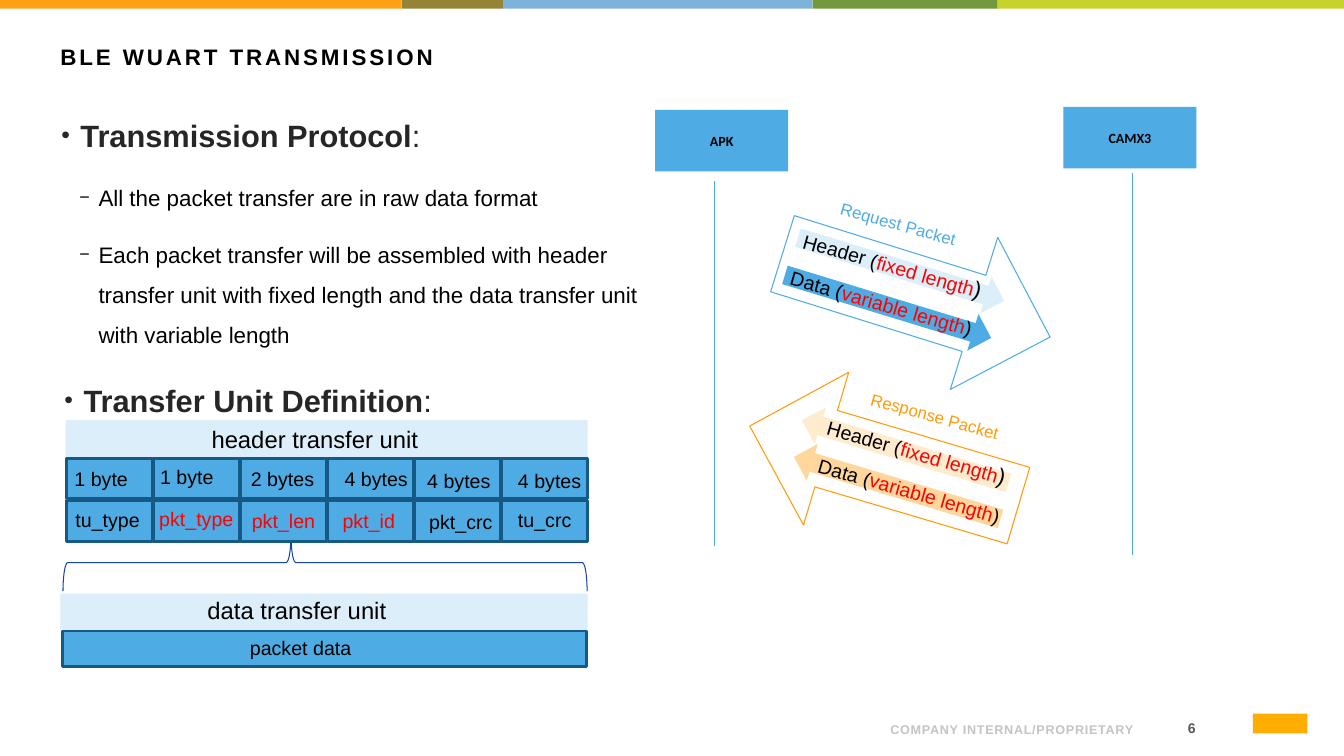
"""Build the BLE WUART transmission slide."""
from lxml import etree
from pptx import Presentation
from pptx.enum.shapes import MSO_CONNECTOR, MSO_SHAPE
from pptx.enum.text import MSO_ANCHOR, PP_ALIGN
from pptx.dml.color import RGBColor
from pptx.oxml.ns import qn
from pptx.util import Pt

BLUE, PALE, NAVY, ORANGE = "4FABE3", "DCEEF9", "155A84", "FF9B09"
BLACK, DARK, RED = "000000", "262626", "FF0000"


def paint(fill, color):
    if color is None:
        fill.background()
    else:
        fill.solid()
        fill.fore_color.rgb = RGBColor.from_string(color)


def add(at, kind=None, fill=None, line=None, weight=0.75, rot=0, paras=(), fmt={}, par={}, frame={}, spc=0):
    at = [Pt(v) for v in at]
    if kind is None:
        sp = s.shapes.add_textbox(*at)
    else:
        sp = s.shapes.add_shape(kind, *at)
        sp.shadow.inherit = False
        paint(sp.fill, fill)
        paint(sp.line.fill, line)
        if line:
            sp.line.width = Pt(weight)
    sp.rotation = rot
    tf = sp.text_frame
    for name, value in ({"word_wrap": True} | frame).items():
        setattr(tf, name, value)
    for i, runs in enumerate(paras):
        p = tf.add_paragraph() if i else tf.paragraphs[0]
        for name, value in par.items():
            setattr(p, name, value)
        for text, size, color, bold in runs:
            r = p.add_run()
            r.text = text
            for name, value in ({"name": "Arial", "size": Pt(size), "bold": bold} | fmt).items():
                setattr(r.font, name, value)
            paint(r.font.fill, color)
            if spc:
                r.font._element.set("spc", str(spc))
    return sp


prs = Presentation()
prs.slide_width, prs.slide_height = Pt(960), Pt(540)
s = prs.slides.add_slide(prs.slide_layouts[6])

RECT, ARROW = MSO_SHAPE.RECTANGLE, MSO_SHAPE.RIGHT_ARROW
label = {"frame": {"word_wrap": False}, "par": {"space_before": Pt(6)}}

left = 0
for color, width in [("FFA015", 286.8), ("958436", 72.6), ("7DB2DB", 221), ("73983E", 132.2), ("C7D22D", 247.4)]:
    add((left, 0, width, 6.2), RECT, color)
    left += width

add((36, 27.4, 902, 58), paras=[[("BLE WUART TRANSMISSION", 16, BLACK, True)]], spc=210)
add((812.2, 509, 46.8, 21.6), paras=[[("6", 10, "595959", True)]], par={"alignment": PP_ALIGN.RIGHT}, spc=300,
    frame={"vertical_anchor": MSO_ANCHOR.MIDDLE, "margin_left": Pt(5), "margin_right": Pt(5),
           "margin_top": Pt(2.9), "margin_bottom": Pt(2.9)})
add((612.7, 505.4, 203.8, 24.5), paras=[[("COMPANY INTERNAL/PROPRIETARY", 9, "C4C4C4", True)]], spc=50,
    par={"alignment": PP_ALIGN.RIGHT}, frame={"vertical_anchor": MSO_ANCHOR.BOTTOM})
add((895, 509.8, 38.9, 14), RECT, "FFAD00")

protocol = [
    [("Transmission Protocol", 22, DARK, True), (":", 22, DARK, False)],
    [("All the packet transfer are in raw data format", 16, BLACK, False)],
    [("Each packet transfer will be assembled with header transfer unit with fixed length "
      "and the data transfer unit with variable length", 16, BLACK, False)],
]
definition = [[("Transfer Unit Definition", 22, DARK, True), (":", 22, DARK, False)]]
spacing = {"line_spacing": 1.5, "space_before": Pt(6), "space_after": Pt(6)}
for at, paras in [((36.7, 66.6, 454.3, 193.7), protocol), ((38.9, 255.6, 519.8, 278.6), definition)]:
    sp = add(at, paras=paras, par=spacing)
    for i, p in enumerate(sp.text_frame.paragraphs):
        p.level = min(i, 1)
        pPr = p._p.get_or_add_pPr()
        pPr.set("marL", str(Pt(26.6 if i else 13.7)))
        pPr.set("indent", str(-Pt(13.7)))
        etree.SubElement(pPr, qn("a:buSzPct")).set("val", "80000")
        etree.SubElement(pPr, qn("a:buFont")).set("typeface", "Arial")
        etree.SubElement(pPr, qn("a:buChar")).set("char", "−" if i else "•")

for name, x, y, axis, top, bottom in [("APK", 468, 78.5, 510.5, 129.6, 390.2),
                                      ("CAMX3", 759.6, 76.3, 808.8, 123.8, 396.7)]:
    add((x, y, 95, 43.9), RECT, BLUE, paras=[[(name, 10, BLACK, True)]], fmt={"name": "Calibri"},
        par={"alignment": PP_ALIGN.CENTER},
        frame={"vertical_anchor": MSO_ANCHOR.MIDDLE} | {f"margin_{side}": Pt(14.4)
                                                       for side in ("left", "right", "top", "bottom")})
    lifeline = s.shapes.add_connector(MSO_CONNECTOR.STRAIGHT, Pt(axis), Pt(top), Pt(axis), Pt(bottom))
    paint(lifeline.line.fill, "4AA8E2")
    lifeline.line.width = Pt(0.75)
    etree.SubElement(lifeline._element.spPr, qn("a:effectLst"))

header = [("Header (", 14, BLACK, False), ("fixed length", 14, RED, False), (")", 16, BLACK, False)]
data = [("Data (", 14, BLACK, False), ("variable length", 14, RED, False), (")", 14, BLACK, False)]
packets = [
    ("Request Packet", BLUE, 17.3, (554.4, 154.1), (585.4, 149.7, 110, 72),
     [(header, PALE, 17, (566.6, 178.6), (563.8, 178.6, 164.9, 30.2)),
      (data, BLUE, 17, (557.3, 205.2), (554.4, 205.2, 153.4, 30.2))]),
    ("Response Packet", ORANGE, 196.5, (531.4, 275.8), (606.6, 288.9, 133.2, 72),
     [(header, "FFEBCE", 196.9, (569.5, 308.9), (581, 311.8, 164.9, 30.2)),
      (data, "FFD79D", 196.7, (563.8, 334.8), (574.6, 339.1, 153.4, 27.4))]),
]
for name, color, rot, corner, name_at, units in packets:
    add((*corner, 200.2, 113.8), ARROW, line=color, rot=rot)
    for runs, fill, turn, arrow_at, text_at in units:
        add((*arrow_at, 154.1, 27.4), ARROW, fill, rot=turn)
        add(text_at, rot=16, paras=[runs], **label)
    add(name_at, rot=15.4, paras=[[(name, 12, color, False)]], **label)

for name, bar, text_at in [("header transfer unit", (46.8, 300.2, 373, 26.6), (144, 299.5)),
                           ("data transfer unit", (43.2, 424.1, 376.6, 26.6), (141.1, 421.9))]:
    add(bar, RECT, PALE)
    add((*text_at, 171.4, 30.2), paras=[[(name, 17, BLACK, False)]], **label)

add((44.6, 450.7, 374.4, 25.2), RECT, BLUE, NAVY, 2)
add((171.4, 450.7, 97.9, 30.2), paras=[[("packet data", 14, BLACK, False)]], **label)
brace = add((211.7, 214.6, 41, 374.4), MSO_SHAPE.RIGHT_BRACE, line="1645AA", rot=270)
brace.adjustments[0], brace.adjustments[1] = 0.083, 0.435

rows = [
    (327.6, [("1 byte", 46.1, 329.8), ("1 byte", 107.3, 328.3), ("2 bytes", 172.1, 329.8),
             ("4 bytes", 239, 329.8), ("4 bytes", 298.1, 331.2), ("4 bytes", 362.9, 331.2)]),
    (357.8, [("tu_type", 46.8, 359.3), ("pkt_type", 106.6, 358.6), ("pkt_len", 172.8, 360),
             ("pkt_id", 237.6, 360), ("pkt_crc", 299.5, 360.7), ("tu_crc", 362.9, 359.3)]),
]
for top, fields in rows:
    for i in range(len(fields)):
        add((47.5 + 62.2 * i, top, 61.2, 28.8), RECT, BLUE, NAVY, 2)
    for name, x, y in fields:
        color = RED if name in ("pkt_type", "pkt_len", "pkt_id") else BLACK
        add((x, y, 74, 30.2), paras=[[(name, 14, color, False)]], **label)

prs.save("out.pptx")
